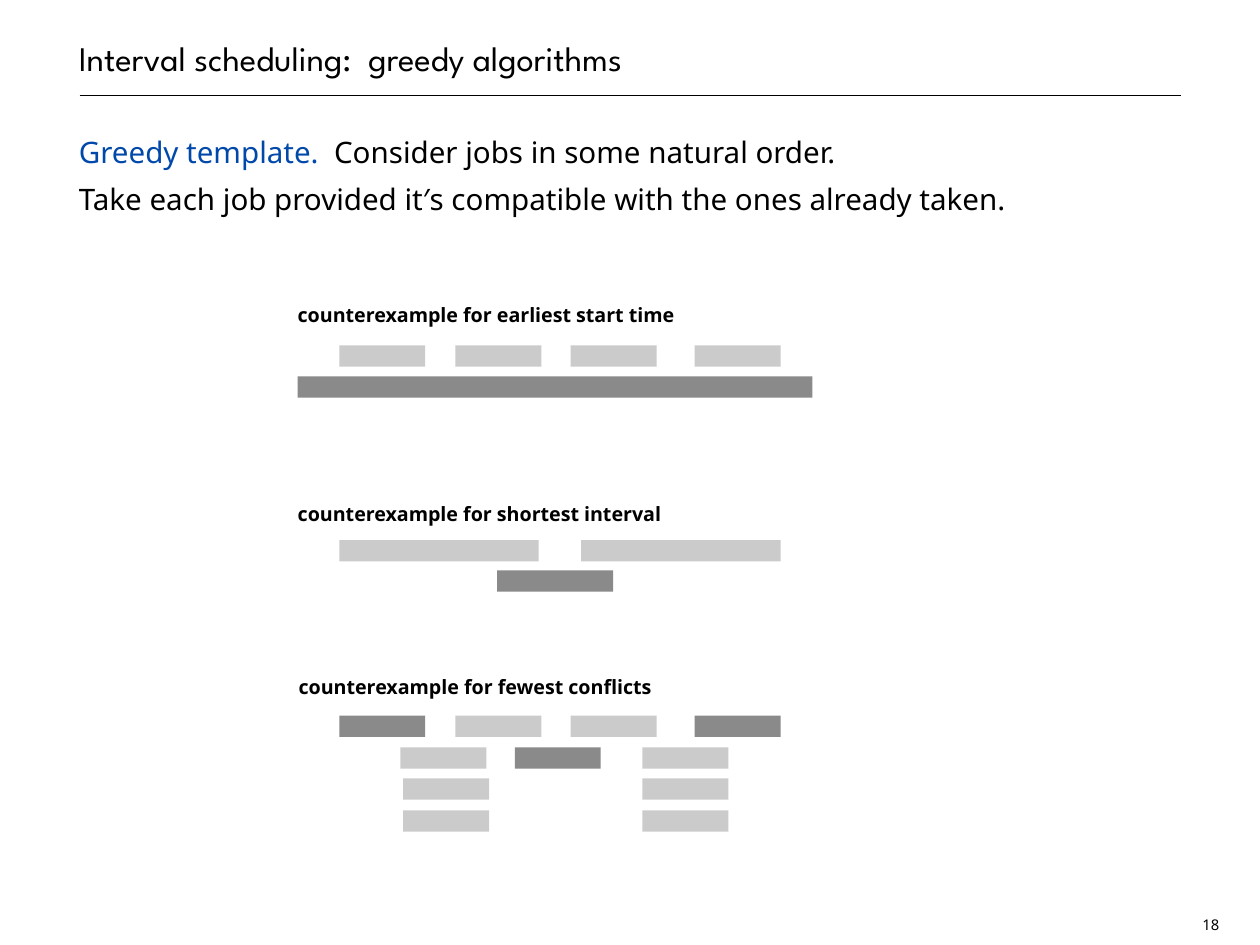
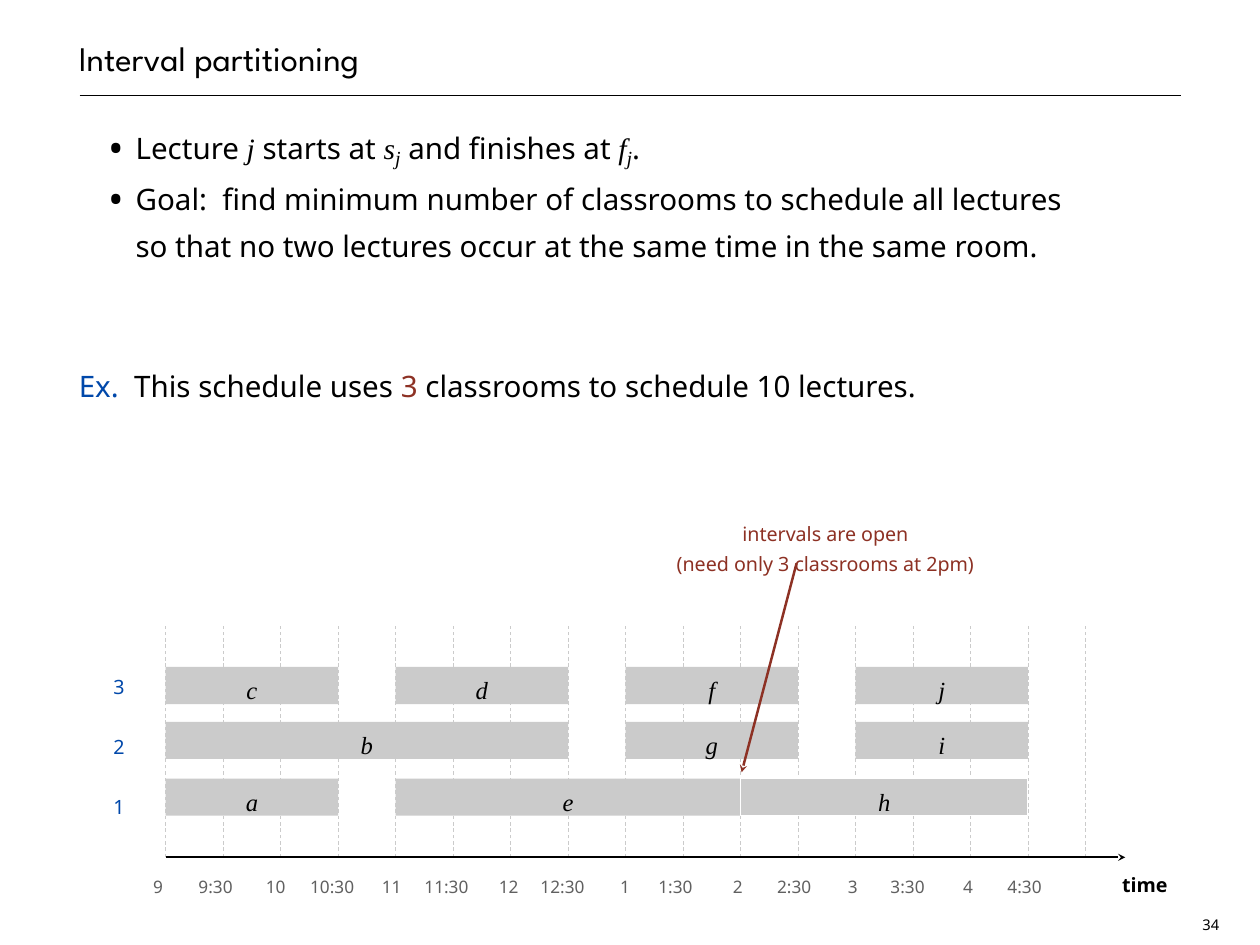
from lxml.etree import SubElement
from pptx import Presentation
from pptx.dml.color import RGBColor
from pptx.enum.dml import MSO_LINE as Dash
from pptx.enum.shapes import MSO_CONNECTOR as Link, MSO_SHAPE as Shape
from pptx.enum.text import MSO_ANCHOR as Anchor, MSO_AUTO_SIZE as Fit, PP_ALIGN as Align
from pptx.oxml.ns import qn
from pptx.util import Pt

SCALE = 9144  # EMU per px, 100 px to the inch
BLACK = RGBColor(0, 0, 0)
WHITE = RGBColor(255, 255, 255)
BLUE = RGBColor(0x00, 0x48, 0xAA)
RED = RGBColor(0x8D, 0x31, 0x24)
LIGHT = RGBColor(0xCB, 0xCB, 0xCB)
DARK = RGBColor(0x8A, 0x8A, 0x8A)
GREY = RGBColor(0x60, 0x60, 0x60)
HEAD, SANS, MATH = "League Spartan", "Noto Sans", "Times New Roman"
VAR = dict(face=MATH, italic=True)
SUB = dict(VAR, size=28, base=-20)


def emu(*px):
    return [round(n * SCALE) for n in px]


class Deck:
    def __init__(self):
        self.prs = Presentation()
        self.prs.slide_width, self.prs.slide_height = emu(1422, 1067)

    def page(self, title, num):
        """Start a slide with its title, rule and page number."""
        slide = self.prs.slides.add_slide(self.prs.slide_layouts[6])
        self.shapes = slide.shapes
        self.line(90, 108, 1333, 108)
        frame = self.text(title, 89, 0, 1244, 89, 28, face=HEAD,
                          align=Align.LEFT, gap=Pt(38))
        frame.vertical_anchor = Anchor.BOTTOM
        self.text(num, 1351, 1030, 31, 24, 12, gap=Pt(14), pad=4)

    def style(self, run, size, color=BLACK, face=SANS, bold=False,
              italic=False, base=0):
        font = run.font
        font.size, font.name = Pt(size), face
        font.bold, font.italic = bold, italic
        font.color.rgb = color
        if base:
            run._r.get_or_add_rPr().set("baseline", str(base * 1000))

    def frame(self, x, y, w, h, pad=0):
        frame = self.shapes.add_textbox(*emu(x, y, w, h)).text_frame
        frame.margin_left = frame.margin_right = emu(pad)[0]
        frame.margin_top = frame.margin_bottom = emu(pad)[0]
        frame.word_wrap = True
        return frame

    def fill(self, frame, text, size, align=Align.CENTER, gap=1.3, **look):
        frame.text = text
        for para in frame.paragraphs:
            para.alignment, para.line_spacing = align, gap
            for run in para.runs:
                self.style(run, size, **look)

    def text(self, text, x, y, w, h, size, pad=0, **look):
        frame = self.frame(x, y, w, h, pad)
        self.fill(frame, text, size, **look)
        return frame

    def label(self, *args, align=Align.LEFT, **look):
        """Add text whose box grows with it and does not wrap."""
        frame = self.text(*args, align=align, **look)
        frame.word_wrap, frame.auto_size = False, Fit.SHAPE_TO_FIT_TEXT

    def bullet(self, para):
        props = para._p.get_or_add_pPr()
        left, hang = emu(64, -31)
        props.set("marL", str(left))
        props.set("indent", str(hang))
        for tag, key, value in (("a:buSzPct", "val", "140000"),
                                ("a:buFont", "typeface", SANS),
                                ("a:buChar", "char", "•")):
            SubElement(props, qn(tag)).set(key, value)

    def body(self, *paras):
        """Each paragraph is (bullet, space before, pieces)."""
        frame = self.frame(89, 139, 1244, 894)
        for i, (dot, before, parts) in enumerate(paras):
            para = frame.add_paragraph() if i else frame.paragraphs[0]
            if dot:
                self.bullet(para)
            para.line_spacing = Pt(38)
            if before:
                para.space_before = Pt(before)
            for text, look in parts:
                if text == "\n":
                    para.add_line_break()
                    continue
                run = para.add_run()
                run.text = text
                self.style(run, **{"size": 24, **look})

    def bar(self, x, y, w, h, color=LIGHT, edge=None, name=""):
        box = self.shapes.add_shape(Shape.RECTANGLE, *emu(x, y, w, h))
        box.shadow.inherit = False
        box.fill.solid()
        box.fill.fore_color.rgb = color
        if edge is None:
            box.line.fill.background()
        else:
            box.line.color.rgb, box.line.width = edge, Pt(0.75)
        if name:
            box.text_frame.margin_top = box.text_frame.margin_bottom = 0
            self.fill(box.text_frame, name, 20, **VAR)

    def line(self, x1, y1, x2, y2, color=BLACK, width=1, dash=None, arrow=False):
        link = self.shapes.add_connector(Link.STRAIGHT, *emu(x1, y1, x2, y2))
        link.line.color.rgb, link.line.width = color, Pt(width)
        if dash:
            link.line.dash_style = dash
        if arrow:
            SubElement(link.line._get_or_add_ln(), qn("a:tailEnd")).set("type", "stealth")
        SubElement(link._element.spPr, qn("a:effectLst"))


def greedy(deck):
    deck.page("Interval scheduling:  greedy algorithms", "18")
    deck.body((False, 0, [
        ("Greedy template.  ", dict(color=BLUE)),
        ("Consider jobs in some natural order.", {}),
        ("\n", {}),
        ("Take each job provided it′s compatible with the ones already taken.", {}),
    ]))
    for goal, x, y, w in (("earliest start time", 336, 334, 437),
                          ("shortest interval", 336, 559, 422),
                          ("fewest conflicts", 337, 754, 412)):
        deck.label(f"counterexample for {goal}", x, y, w, 25, 16, bold=True)
    top = (383, 514, 644, 784)
    rows = (
        (390, 97, LIGHT, top), (425, 581, DARK, (336,)),
        (610, 225, LIGHT, (383, 656)), (644, 131, DARK, (561,)),
        (808, 97, LIGHT, top[1:3]), (808, 97, DARK, (top[0], top[3])),
        (844, 97, LIGHT, (452, 725)), (844, 97, DARK, (581,)),
        (879, 97, LIGHT, (455, 725)), (915, 97, LIGHT, (455, 725)),
    )
    for y, w, color, lefts in rows:
        for x in lefts:
            deck.bar(x, y, w, 24, color)


def rooms(deck):
    deck.page("Interval partitioning", "34")
    deck.body(
        (True, 0, [("Lecture ", {}), ("j", VAR), (" starts at ", {}),
                   ("s", VAR), ("j", SUB), (" and finishes at ", {}),
                   ("f", VAR), ("j", SUB), (".", {})]),
        (True, 0, [
            ("Goal:  find minimum number of classrooms to schedule all lectures", {}),
            ("\n", {}),
            ("so that no two lectures occur at the same time in the same room.", {}),
        ]),
        (False, 76, [("Ex.  ", dict(color=BLUE)), ("This schedule uses ", {}),
                     ("3", dict(color=RED)),
                     (" classrooms to schedule 10 lectures.", {})]),
    )
    start, axis, step = 187, 968, 64.88  # step: half an hour
    for i in range(17):
        x = start + i * step
        deck.line(x, axis, x, 707, LIGHT, 0.75, Dash.DASH)

    plan = (
        (753, (("c", 0, 3), ("d", 4, 7), ("f", 8, 11), ("j", 12, 15))),
        (815, (("b", 0, 7), ("g", 8, 11), ("i", 12, 15))),
        (879, (("a", 0, 3), ("e", 4, 10), ("h", 10, 15))),
    )
    for i, (y, row) in enumerate(plan):
        deck.label(str(3 - i), 128, 754 + 68 * i, 15, 21, 16, color=BLUE)
        for name, first, last in row:
            edge = WHITE if name == "h" else None
            deck.bar(start + first * step, y, (last - first) * step, 42,
                     edge=edge, name=name)

    deck.line(start, axis, 1270, axis, width=1.5, arrow=True)
    deck.text("time", 1240, 978, 104, 25, 16, bold=True)
    widths = {1: 14, 2: 26, 4: 44, 5: 57}
    hours = (("9", 173), ("9:30", 224), ("10", 300), ("10:30", 350),
             ("11", 431), ("11:30", 479), ("12", 563), ("12:30", 610),
             ("1", 700), ("1:30", 743), ("2", 827), ("2:30", 877),
             ("3", 957), ("3:30", 1005), ("4", 1087), ("4:30", 1137))
    for hour, x in hours:
        deck.label(hour, x, 982, widths[len(hour)], 19, 14, color=GREY)
    deck.label("intervals are open\n(need only 3 classrooms at 2pm)",
               754, 581, 355, 49, 16, align=Align.CENTER, color=RED)
    deck.line(899, 636, 837, 872, RED, 2, arrow=True)


def main():
    deck = Deck()
    greedy(deck)
    rooms(deck)
    deck.prs.save("out.pptx")


if __name__ == "__main__":
    main()
